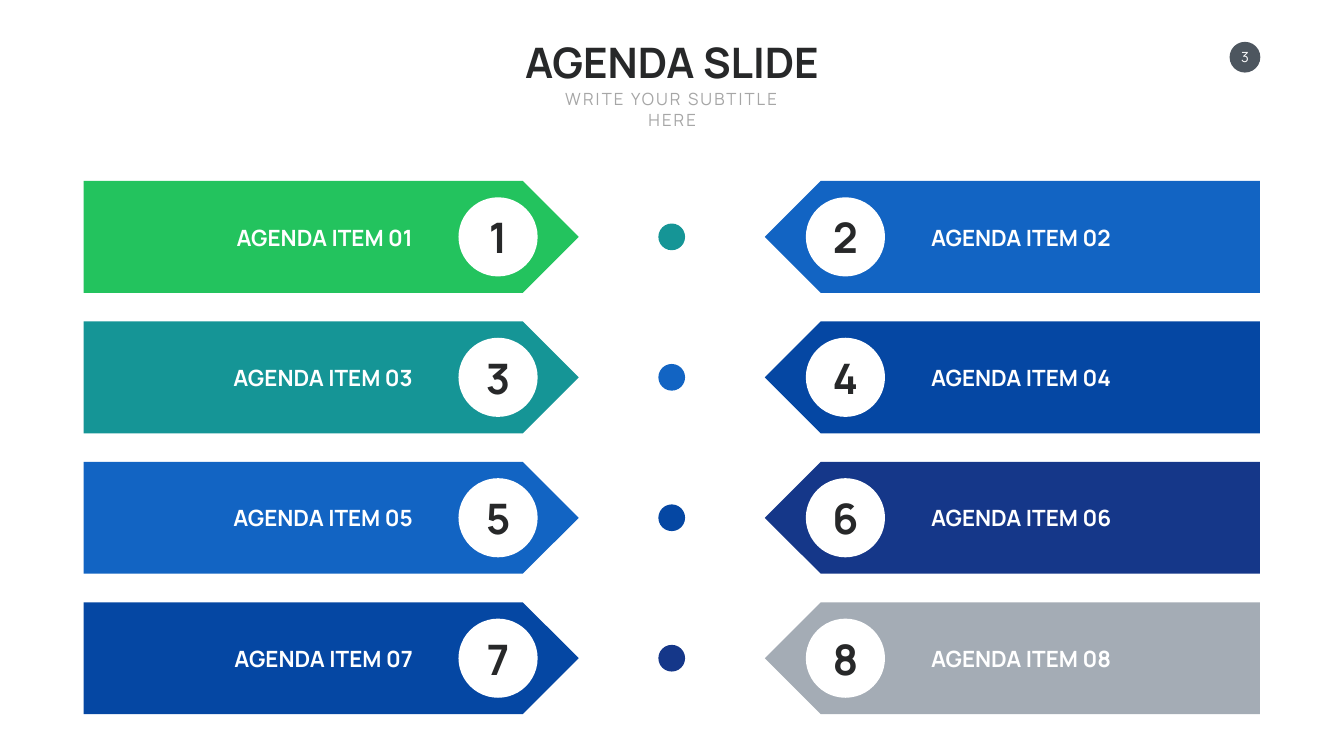
from pptx import Presentation
from pptx.dml.color import RGBColor
from pptx.enum.shapes import MSO_SHAPE
from pptx.enum.text import MSO_ANCHOR, PP_ALIGN
from pptx.util import Inches, Pt

FONT = "Manrope"
WHITE = RGBColor(0xFF, 0xFF, 0xFF)
INK = RGBColor(0x27, 0x28, 0x29)
SUBTITLE_GRAY = RGBColor(0xA6, 0xA6, 0xA6)
BADGE_GRAY = RGBColor(0x4D, 0x56, 0x5F)
GREEN = RGBColor(0x23, 0xC3, 0x5E)
TEAL = RGBColor(0x15, 0x95, 0x96)
BLUE = RGBColor(0x12, 0x64, 0xC3)
ROYAL = RGBColor(0x05, 0x47, 0xA3)
NAVY = RGBColor(0x15, 0x37, 0x89)
SILVER = RGBColor(0xA4, 0xAC, 0xB5)

ROWS = [
    (GREEN, BLUE, TEAL),
    (TEAL, ROYAL, BLUE),
    (BLUE, NAVY, ROYAL),
    (ROYAL, SILVER, NAVY),
]
BAR_HEIGHT = 2.22


def add_filled(slide, preset, left, top, width, height, color):
    shape = slide.shapes.add_shape(
        preset, Inches(left), Inches(top), Inches(width), Inches(height))
    shape.shadow.inherit = False
    shape.fill.solid()
    shape.fill.fore_color.rgb = color
    shape.line.fill.background()
    return shape


def add_circle(slide, center_x, center_y, size, color):
    add_filled(slide, MSO_SHAPE.OVAL, center_x - size / 2, center_y - size / 2,
               size, size, color)


def add_text(slide, left, top, width, height, text, size, color, bold=False,
             align=PP_ALIGN.CENTER, anchor=MSO_ANCHOR.MIDDLE, wrap=False,
             inset=None, tracking=None):
    box = slide.shapes.add_textbox(
        Inches(left), Inches(top), Inches(width), Inches(height))
    frame = box.text_frame
    frame.word_wrap = wrap
    frame.vertical_anchor = anchor
    if inset is not None:
        frame.margin_left = frame.margin_right = Inches(inset)
        frame.margin_top = frame.margin_bottom = Inches(inset)
    paragraph = frame.paragraphs[0]
    paragraph.alignment = align
    run = paragraph.add_run()
    run.text = text
    run.font.name = FONT
    run.font.size = Pt(size)
    run.font.bold = bold
    run.font.color.rgb = color
    if tracking:
        run.font._element.set("spc", str(tracking * 100))


def add_page_badge(slide, left, top, size, number):
    center_x, center_y = left + size / 2, top + size / 2
    add_circle(slide, center_x, center_y, size, BADGE_GRAY)
    add_text(slide, center_x - 0.2, center_y - 0.17, 0.4, 0.34,
             number, 20, WHITE, inset=0)


def add_heading(slide, left, top, width):
    center_x = left + width / 2
    add_text(slide, left, top, width, 1.11, "AGENDA SLIDE", 60, INK,
             bold=True, anchor=MSO_ANCHOR.TOP)
    add_text(slide, center_x - 2.71, top + 1.05, 5.43, 0.5,
             "WRITE YOUR SUBTITLE HERE", 24, SUBTITLE_GRAY,
             anchor=MSO_ANCHOR.TOP, wrap=True, tracking=3)


def add_agenda_item(slide, left, top, width, height, number, color, points_right):
    center_y = top + height / 2
    bar = add_filled(slide, MSO_SHAPE.PENTAGON, left, top, width, height, color)
    if points_right:
        number_x = left + width - 1.6
        label_left, label_align = number_x - 5.49, PP_ALIGN.RIGHT
    else:
        bar.rotation = 180
        number_x = left + 1.6
        label_left, label_align = number_x + 1.6, PP_ALIGN.LEFT
    add_circle(slide, number_x, center_y, 1.57, WHITE)
    add_text(slide, number_x - 0.37, center_y - 0.55, 0.74, 1.11,
             str(number), 60, INK, bold=True)
    add_text(slide, label_left, center_y - 0.32, 3.9, 0.64,
             f"AGENDA ITEM {number:02d}", 32, WHITE, bold=True,
             align=label_align, anchor=MSO_ANCHOR.BOTTOM)


def add_agenda(slide, left, top, width, height):
    bar_width = 9.82
    pitch = (height - BAR_HEIGHT) / (len(ROWS) - 1)
    for row, (left_color, right_color, dot_color) in enumerate(ROWS):
        row_top = top + row * pitch
        add_agenda_item(slide, left, row_top, bar_width, BAR_HEIGHT,
                        2 * row + 1, left_color, True)
        add_agenda_item(slide, left + width - bar_width, row_top, bar_width,
                        BAR_HEIGHT, 2 * row + 2, right_color, False)
        add_circle(slide, left + width / 2, row_top + BAR_HEIGHT / 2,
                   0.53, dot_color)


def main():
    presentation = Presentation()
    presentation.slide_width = Inches(26.66)
    presentation.slide_height = Inches(15)
    slide = presentation.slides.add_slide(presentation.slide_layouts[6])
    add_page_badge(slide, 24.39, 0.83, 0.61, "3")
    add_heading(slide, 10.23, 0.67, 6.2)
    add_agenda(slide, 1.66, 3.59, 23.33, 10.58)
    presentation.save("out.pptx")


if __name__ == "__main__":
    main()
